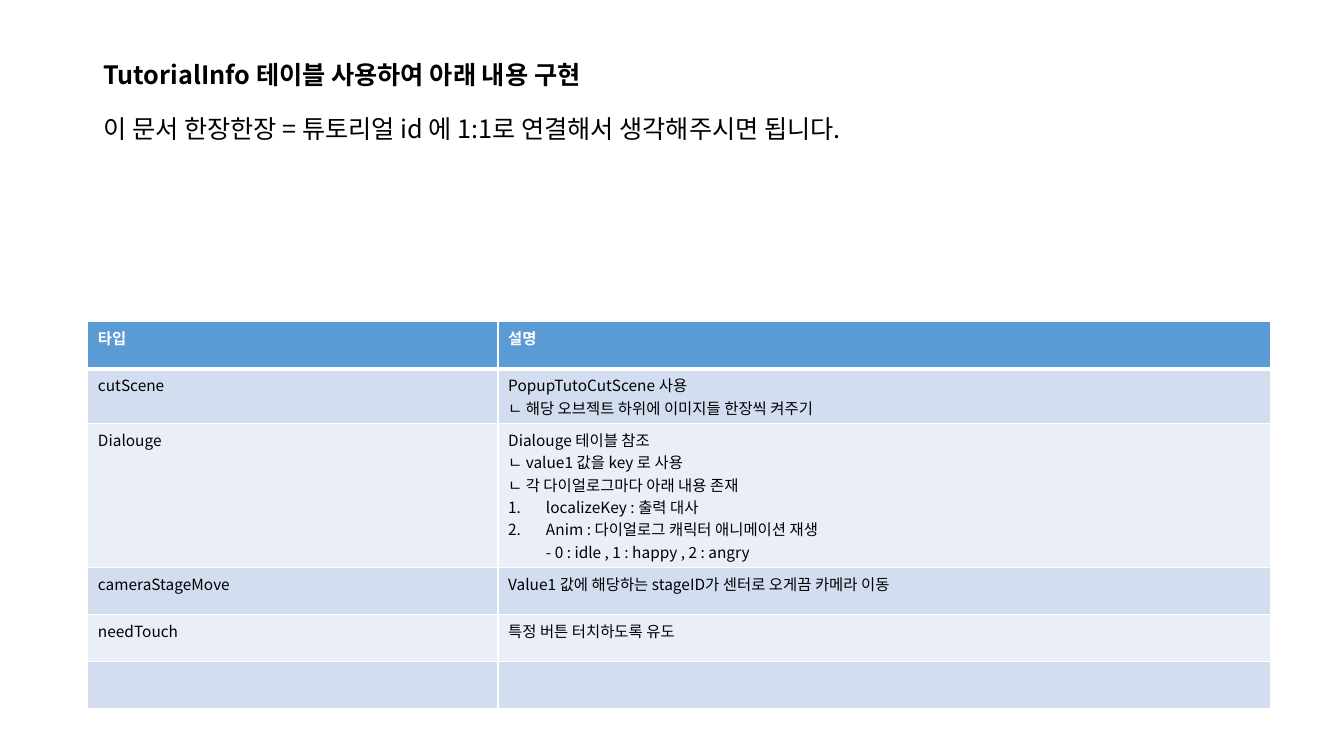
"""Build a slide that explains the TutorialInfo table types."""
from dataclasses import dataclass

from lxml import etree
from pptx import Presentation
from pptx.dml.color import RGBColor
from pptx.enum.text import MSO_ANCHOR, MSO_AUTO_SIZE, PP_ALIGN
from pptx.oxml.ns import qn
from pptx.util import Pt

LEFT = PP_ALIGN.LEFT
TOP = MSO_ANCHOR.TOP
NO_AUTOFIT = MSO_AUTO_SIZE.NONE


@dataclass(frozen=True)
class Theme:
    font: str = "Noto Sans CJK KR"
    title_size: float = 18
    table_size: float = 11
    text: str = "000000"
    white: str = "FFFFFF"
    header: str = "5B9BD5"
    bands: tuple = ("D2DEEF", "EAEFF7")


theme = Theme()


def write(paragraph, text, size=theme.table_size, color=theme.text, bold=False,
          before=0, numbered=False):
    paragraph.text = text
    paragraph.alignment = LEFT
    paragraph.line_spacing = 1.0
    paragraph.space_before = Pt(before)
    if numbered:
        properties = paragraph._p.get_or_add_pPr()
        properties.set("marL", str(Pt(27)))
        properties.set("indent", str(Pt(-27)))
        etree.SubElement(properties, qn("a:buFont"), typeface="+mj-lt")
        etree.SubElement(properties, qn("a:buAutoNum"), type="arabicPeriod")
    for line_break in paragraph._p.findall(qn("a:br")):
        etree.SubElement(line_break, qn("a:rPr"), sz=str(int(size * 100)))
    for run in paragraph.runs:
        run.font.name = theme.font
        run.font.size = Pt(size)
        run.font.bold = bold
        run.font.color.rgb = RGBColor.from_string(color)
        latin = run._r.rPr.find(qn("a:latin"))
        latin.addnext(etree.Element(qn("a:ea"), typeface=theme.font))


def add_border(cell, side, width):
    line = etree.SubElement(cell._tc.get_or_add_tcPr(), qn(f"a:ln{side}"), w=str(Pt(width)))
    fill = etree.SubElement(line, qn("a:solidFill"))
    etree.SubElement(fill, qn("a:srgbClr"), val=theme.white)


presentation = Presentation()
presentation.slide_width = Pt(960)
presentation.slide_height = Pt(540)
slide = presentation.slides.add_slide(presentation.slide_layouts[5])

title = slide.shapes.title
title.left, title.top, title.width, title.height = Pt(66.5), Pt(39), Pt(607.5), Pt(72.7)
title_frame = title.text_frame
title_frame.auto_size = NO_AUTOFIT
title_frame.word_wrap = False
title_frame.vertical_anchor = TOP
write(title_frame.paragraphs[0], "TutorialInfo 테이블 사용하여 아래 내용 구현",
      size=theme.title_size, bold=True)
write(title_frame.add_paragraph(),
      "이 문서 한장한장 = 튜토리얼 id 에 1:1로 연결해서 생각해주시면 됩니다.",
      size=theme.title_size, before=17)

rows = [
    ("타입", ["설명"]),
    ("cutScene", ["PopupTutoCutScene 사용", "ㄴ 해당 오브젝트 하위에 이미지들 한장씩 켜주기"]),
    ("Dialouge", ["Dialouge 테이블 참조", "ㄴ value1 값을 key 로 사용",
                  "ㄴ 각 다이얼로그마다 아래 내용 존재", "localizeKey : 출력 대사",
                  "Anim : 다이얼로그 캐릭터 애니메이션 재생\n- 0 : idle , 1 : happy , 2 : angry"]),
    ("cameraStageMove", ["Value1 값에 해당하는 stageID가 센터로 오게끔 카메라 이동"]),
    ("needTouch", ["특정 버튼 터치하도록 유도"]),
    ("", []),
]
numbered_starts = ("localizeKey", "Anim")
column_widths = (293, 551.5)
row_heights = (33.6, 38.8, 99.4, 33.6, 33.6, 33.6)

table = slide.shapes.add_table(len(rows), len(column_widths), Pt(62.8), Pt(229.8),
                               Pt(sum(column_widths)), Pt(sum(row_heights))).table
for column, width in zip(table.columns, column_widths):
    column.width = Pt(width)

for row_index, (type_name, description) in enumerate(rows):
    table.rows[row_index].height = Pt(row_heights[row_index])
    is_header = row_index == 0
    fill_color = theme.header if is_header else theme.bands[(row_index - 1) % 2]
    text_color = theme.white if is_header else theme.text
    for column_index, lines in enumerate(([type_name] if type_name else [], description)):
        cell = table.cell(row_index, column_index)
        for side in "LRTB":
            thick = (is_header and side == "B") or (row_index == 1 and side == "T")
            add_border(cell, side, 3 if thick else 1)
        cell.fill.solid()
        cell.fill.fore_color.rgb = RGBColor.from_string(fill_color)
        for line_index, line in enumerate(lines):
            frame = cell.text_frame
            paragraph = frame.add_paragraph() if line_index else frame.paragraphs[0]
            write(paragraph, line, color=text_color, bold=is_header,
                  numbered=line.startswith(numbered_starts))

presentation.save("out.pptx")
